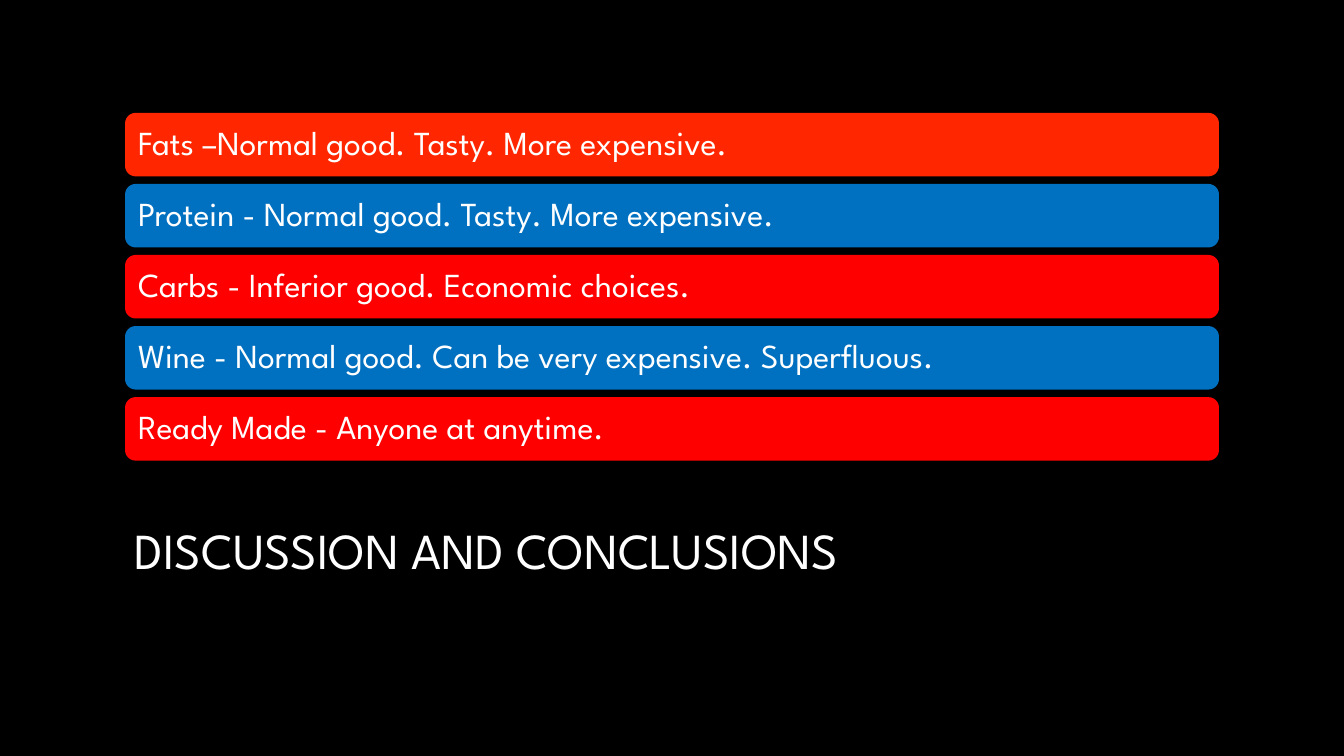
from dataclasses import dataclass

from pptx import Presentation
from pptx import util as u
from pptx.dml.color import RGBColor
from pptx.enum import shapes, text

WIDTH, HEIGHT = 13.33, 7.5
FONT = "League Spartan"
WHITE, BLACK = "FFFFFF", "000000"
ORANGE, RED, BLUE = "FF2600", "FF0000", "0070C0"

# Single-column grid, in inches
LEFT, COLUMN = 1.24, 10.85
TOP, ROW, GAP = 1.12, 0.63, 0.075


@dataclass
class Finding:
    label: str
    fill: str


FINDINGS = [
    Finding("Fats –Normal good. Tasty. More expensive.", ORANGE),
    Finding("Protein - Normal good. Tasty. More expensive.", BLUE),
    Finding("Carbs - Inferior good. Economic choices.", RED),
    Finding("Wine - Normal good. Can be very expensive. Superfluous.", BLUE),
    Finding("Ready Made - Anyone at anytime.", RED),
]


def paint(fill, color: str) -> None:
    fill.solid()
    fill.fore_color.rgb = RGBColor.from_string(color)


def write(sp, label: str, size: float, anchor, spacing: float) -> None:
    tf = sp.text_frame
    tf.word_wrap = True
    tf.vertical_anchor = anchor
    tf.margin_left = tf.margin_right = u.Inches(0.1)
    p = tf.paragraphs[0]
    p.alignment = text.PP_ALIGN.LEFT
    p.line_spacing = spacing
    r = p.add_run()
    r.text = label
    r.font.name = FONT
    r.font.size = u.Pt(size)
    paint(r.font.fill, WHITE)


def add_bar(s, row: int, finding: Finding) -> None:
    sp = s.shapes.add_shape(
        shapes.MSO_SHAPE.ROUNDED_RECTANGLE,
        u.Inches(LEFT), u.Inches(TOP + row * (ROW + GAP)),
        u.Inches(COLUMN), u.Inches(ROW))
    sp.shadow.inherit = False
    paint(sp.fill, finding.fill)
    sp.line.fill.background()
    write(sp, finding.label, 24, text.MSO_ANCHOR.MIDDLE, 0.9)


def add_title(s, label: str) -> None:
    sp = s.shapes.add_textbox(u.Inches(LEFT), u.Inches(HEIGHT * 0.68),
                              u.Inches(COLUMN), u.Inches(1.16))
    write(sp, label, 36, text.MSO_ANCHOR.TOP, 1.0)


def main() -> None:
    prs = Presentation()
    prs.slide_width, prs.slide_height = u.Inches(WIDTH), u.Inches(HEIGHT)
    s = prs.slides.add_slide(prs.slide_layouts[6])
    paint(s.background.fill, BLACK)

    # Title below the list
    add_title(s, "DISCUSSION AND CONCLUSIONS")

    # One bar per finding
    for row, finding in enumerate(FINDINGS):
        add_bar(s, row, finding)

    prs.save("out.pptx")


if __name__ == "__main__":
    main()
